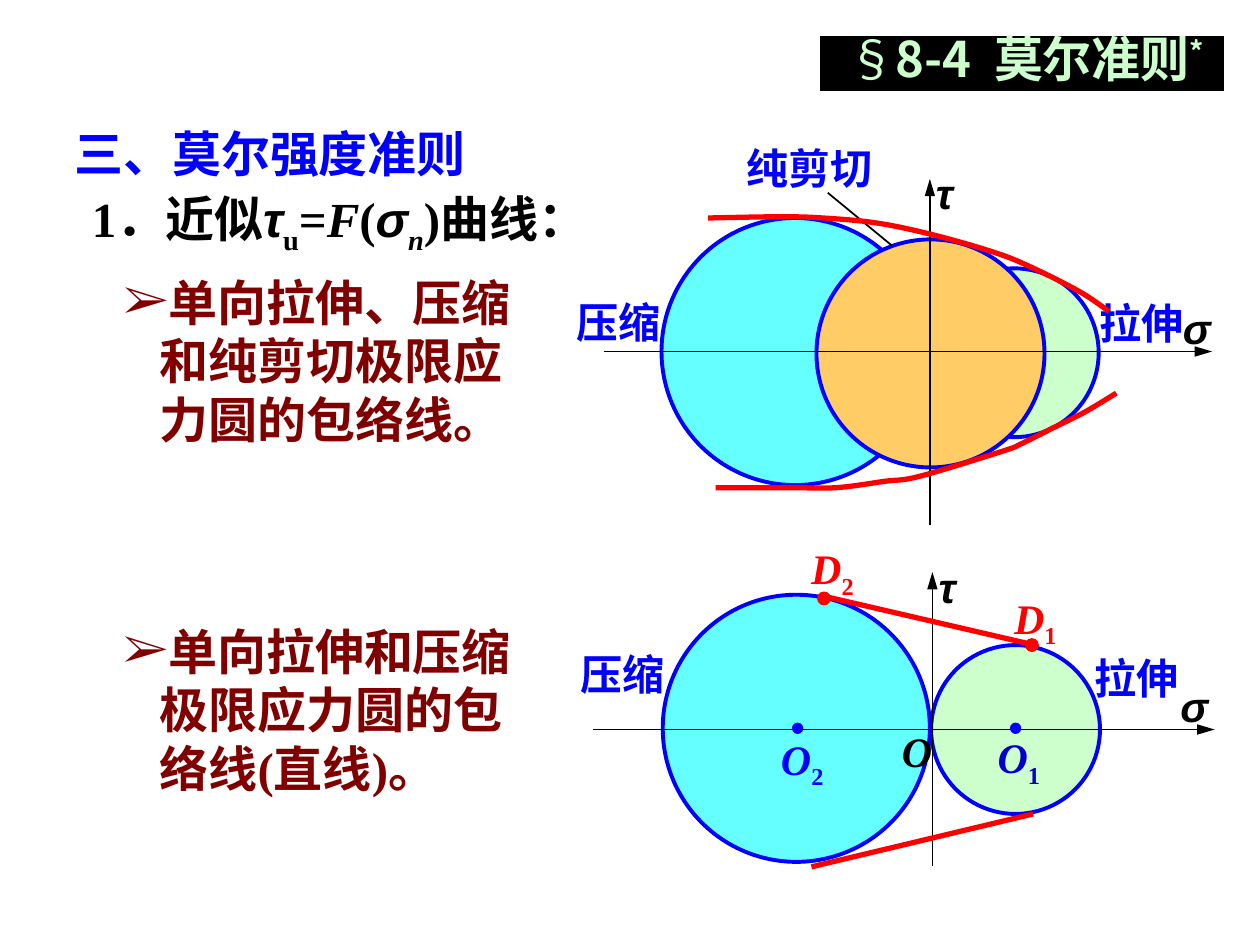
"""Build the slide on Mohr's strength criterion with its two circle diagrams."""
from lxml.etree import SubElement
from pptx import Presentation
from pptx.dml.color import RGBColor
from pptx.enum.shapes import MSO_CONNECTOR, MSO_SHAPE
from pptx.enum.text import MSO_ANCHOR, PP_ALIGN
from pptx.oxml.ns import qn
from pptx.util import Inches, Pt

BLUE = RGBColor(0x00, 0x00, 0xFF)
DARK_BLUE = RGBColor(0x00, 0x00, 0xCC)
RED = RGBColor(0xFF, 0x00, 0x00)
MAROON = RGBColor(0x80, 0x00, 0x00)
BLACK = RGBColor(0x00, 0x00, 0x00)
GREEN = RGBColor(0xCC, 0xFF, 0xCC)
CYAN = RGBColor(0x66, 0xFF, 0xFF)
ORANGE = RGBColor(0xFF, 0xCC, 0x66)
SERIF, SANS, CHINESE = "Times New Roman", "Arial", "Noto Sans CJK SC"

ITALIC = {"italic": True}
GREEK = {"italic": True, "font": SANS}
LOW = {"baseline": -25}
LOW_ITALIC = {"italic": True, "baseline": -25}

TITLE = [("§", {"bold": False}), ("8-4  莫尔准则", {}), ("*", {"baseline": 30})]
HEADING = [("三、莫尔强度准则", {})]
CURVE_HEADING = [("1．近似", {}), ("τ", GREEK), ("u", LOW), ("=", {}), ("F", ITALIC),
                 ("(", {}), ("σ", GREEK), ("n", LOW_ITALIC), (")曲线：", {})]
BULLETS = [
    ("单向拉伸、压缩和纯剪切极限应力圆的包络线。", (0.88, 2.11, 3.35, 1.5)),
    ("单向拉伸和压缩极限应力圆的包络线(直线)。", (0.88, 4.88, 3.57, 1.5)),
]

CIRCLES = [
    (8.05, 2.8, 0.67, GREEN), (6.31, 2.79, 1.06, CYAN), (7.385, 2.805, 0.905, ORANGE),
    (6.32, 5.78, 1.06, CYAN), (8.06, 5.79, 0.67, GREEN),
]
DOTS = [
    (6.33, 5.78, 0.04, BLUE), (8.06, 5.78, 0.04, BLUE),
    (6.54, 4.75, 0.05, RED), (8.19, 5.12, 0.05, RED),
]
POINTER = (7.08, 1.95, 6.57, 1.53)
AXES = [
    (4.79, 2.79, 9.62, 2.79), (7.38, 4.17, 7.38, 1.42),
    (4.71, 5.79, 9.64, 5.79), (7.4, 6.87, 7.4, 4.54),
]
TANGENTS = [(6.53, 4.73, 8.17, 5.11), (6.44, 6.88, 8.2, 6.46)]
ENVELOPES = [
    [(8.8, 2.47), (8.56, 2.31), (8.14, 2.1), (7.85, 1.99), (7.39, 1.86),
     (6.96, 1.77), (6.53, 1.73), (6.19, 1.72), (5.62, 1.73)],
    [(8.86, 3.12), (8.61, 3.27), (8.35, 3.4), (8.11, 3.52), (7.96, 3.58),
     (7.3, 3.78), (7.02, 3.82), (6.64, 3.87), (6.26, 3.87), (5.68, 3.87)],
]
LABELS = [
    ([("拉伸", {})], (8.63, 2.31, 0.97, 0.74), BLUE),
    ([("压缩", {})], (4.48, 2.3, 1.33, 0.71), BLUE),
    ([("纯剪切", {})], (5.83, 1.16, 1.46, 0.56), BLUE),
    ([("σ", GREEK)], (9.29, 2.35, 0.72, 0.73), BLACK),
    ([("τ", GREEK)], (7.33, 1.28, 1.29, 0.62), BLACK),
    ([("压缩", {})], (4.51, 5.1, 1.29, 0.62), BLUE),
    ([("拉伸", {})], (8.59, 5.13, 1.03, 0.66), BLUE),
    ([("σ", GREEK)], (9.27, 5.35, 0.6, 0.69), BLACK),
    ([("τ", GREEK)], (7.35, 4.41, 1.29, 0.62), BLACK),
    ([("O", ITALIC)], (7.06, 5.71, 1, 0.65), BLACK),
    ([("O", ITALIC), ("2", LOW)], (6.1, 5.77, 1, 0.65), BLUE),
    ([("O", ITALIC), ("1", LOW)], (7.82, 5.76, 1, 0.65), DARK_BLUE),
    ([("D", ITALIC), ("2", LOW)], (6.34, 4.26, 1, 0.65), RED),
    ([("D", ITALIC), ("1", LOW)], (7.95, 4.65, 1, 0.65), RED),
]


def add_text(slide, pieces, box, *, color, size=24, font=SERIF, align=PP_ALIGN.LEFT,
             anchor=MSO_ANCHOR.TOP, inset=True, bullet=None, line_spacing=None):
    shape = slide.shapes.add_textbox(*map(Inches, box))
    frame = shape.text_frame
    frame.word_wrap = True
    frame.vertical_anchor = anchor
    if not inset:
        frame.margin_left = frame.margin_right = frame.margin_top = frame.margin_bottom = 0
    paragraph = frame.paragraphs[0]
    paragraph.alignment = align
    if line_spacing:
        paragraph.line_spacing = line_spacing
    if bullet:
        properties = paragraph._p.get_or_add_pPr()
        properties.set("marL", str(Inches(0.29)))
        properties.set("indent", str(-Inches(0.29)))
        bullet_color = SubElement(properties, qn("a:buClr"))
        SubElement(bullet_color, qn("a:srgbClr"), val=str(color))
        SubElement(properties, qn("a:buFont"), typeface=font)
        SubElement(properties, qn("a:buChar"), char=bullet)
    for text, style in pieces:
        run = paragraph.add_run()
        run.text = text
        run.font.size = Pt(size)
        run.font.bold = style.get("bold", True)
        run.font.italic = style.get("italic", False)
        run.font.color.rgb = color
        run.font.name = style.get("font", font)
        run_properties = run._r.get_or_add_rPr()
        SubElement(run_properties, qn("a:ea"), typeface=CHINESE)
        if "baseline" in style:
            run_properties.set("baseline", str(style["baseline"] * 1000))


def add_filled(slide, preset, box, fill, line, width):
    shape = slide.shapes.add_shape(preset, *map(Inches, box))
    shape.shadow.inherit = False
    shape.fill.solid()
    shape.fill.fore_color.rgb = fill
    shape.line.color.rgb = line
    shape.line.width = Pt(width)


def add_circle(slide, center_x, center_y, radius, fill, line, width):
    box = (center_x - radius, center_y - radius, 2 * radius, 2 * radius)
    add_filled(slide, MSO_SHAPE.OVAL, box, fill, line, width)


def add_line(slide, ends, color=BLACK, width=1, arrow=False):
    connector = slide.shapes.add_connector(MSO_CONNECTOR.STRAIGHT, *map(Inches, ends))
    connector.line.color.rgb = color
    connector.line.width = Pt(width)
    if arrow:
        SubElement(connector.line._get_or_add_ln(), qn("a:tailEnd"), type="triangle", len="lg")
    SubElement(connector._element.spPr, qn("a:effectLst"))


def round_corners(shape):
    segments = list(shape._element.iter(qn("a:moveTo"), qn("a:lnTo")))
    points = [(int(point.get("x")), int(point.get("y")))
              for segment in segments for point in segment]
    padded = [points[0], *points, points[-1]]
    for segment, before, start, end, after in zip(
            segments[1:], padded, padded[1:], padded[2:], padded[3:]):
        leave = [s + (e - b) / 6 for b, s, e in zip(before, start, end)]
        arrive = [e - (a - s) / 6 for s, e, a in zip(start, end, after)]
        outline = segment.getparent()
        curve = SubElement(outline, qn("a:cubicBezTo"))
        for x, y in (leave, arrive, end):
            SubElement(curve, qn("a:pt"), x=str(round(x)), y=str(round(y)))
        outline.remove(segment)


def add_envelope(slide, points):
    first, *rest = [(Inches(x), Inches(y)) for x, y in points]
    builder = slide.shapes.build_freeform(*first)
    builder.add_line_segments(rest, close=False)
    shape = builder.convert_to_shape()
    round_corners(shape)
    shape.shadow.inherit = False
    shape.fill.background()
    shape.line.color.rgb = RED
    shape.line.width = Pt(3)


def main():
    presentation = Presentation()
    presentation.slide_width, presentation.slide_height = Inches(10), Inches(7.5)
    slide = presentation.slides.add_slide(presentation.slide_layouts[6])
    add_text(slide, HEADING, (0.59, 0.98, 5.66, 0.47), color=BLUE, size=28, inset=False)
    add_text(slide, CURVE_HEADING, (0.73, 1.5, 4.8, 0.53), color=BLACK, size=28, inset=False)
    for text, box in BULLETS:
        add_text(slide, [(text, {})], box, color=MAROON, size=28,
                 anchor=MSO_ANCHOR.MIDDLE, bullet="➢")
    for circle in CIRCLES:
        add_circle(slide, *circle, BLUE, 2.25)
    add_line(slide, POINTER)
    for axis in AXES:
        add_line(slide, axis, arrow=True)
    for pieces, box, color in LABELS:
        add_text(slide, pieces, box, color=color, align=PP_ALIGN.JUSTIFY,
                 line_spacing=0.8 if pieces[0][0] == "纯剪切" else None)
    for points in ENVELOPES:
        add_envelope(slide, points)
    for tangent in TANGENTS:
        add_line(slide, tangent, RED, 3)
    for *circle, color in DOTS:
        add_circle(slide, *circle, color, color, 0.75)
    add_filled(slide, MSO_SHAPE.RECTANGLE, (6.51, 0.29, 3.2, 0.43), BLACK, BLACK, 0.75)
    add_text(slide, TITLE, (6.46, 0.13, 3.36, 0.66), color=GREEN, size=28, font=CHINESE,
             align=PP_ALIGN.CENTER, anchor=MSO_ANCHOR.MIDDLE)
    presentation.save("out.pptx")


if __name__ == "__main__":
    main()
